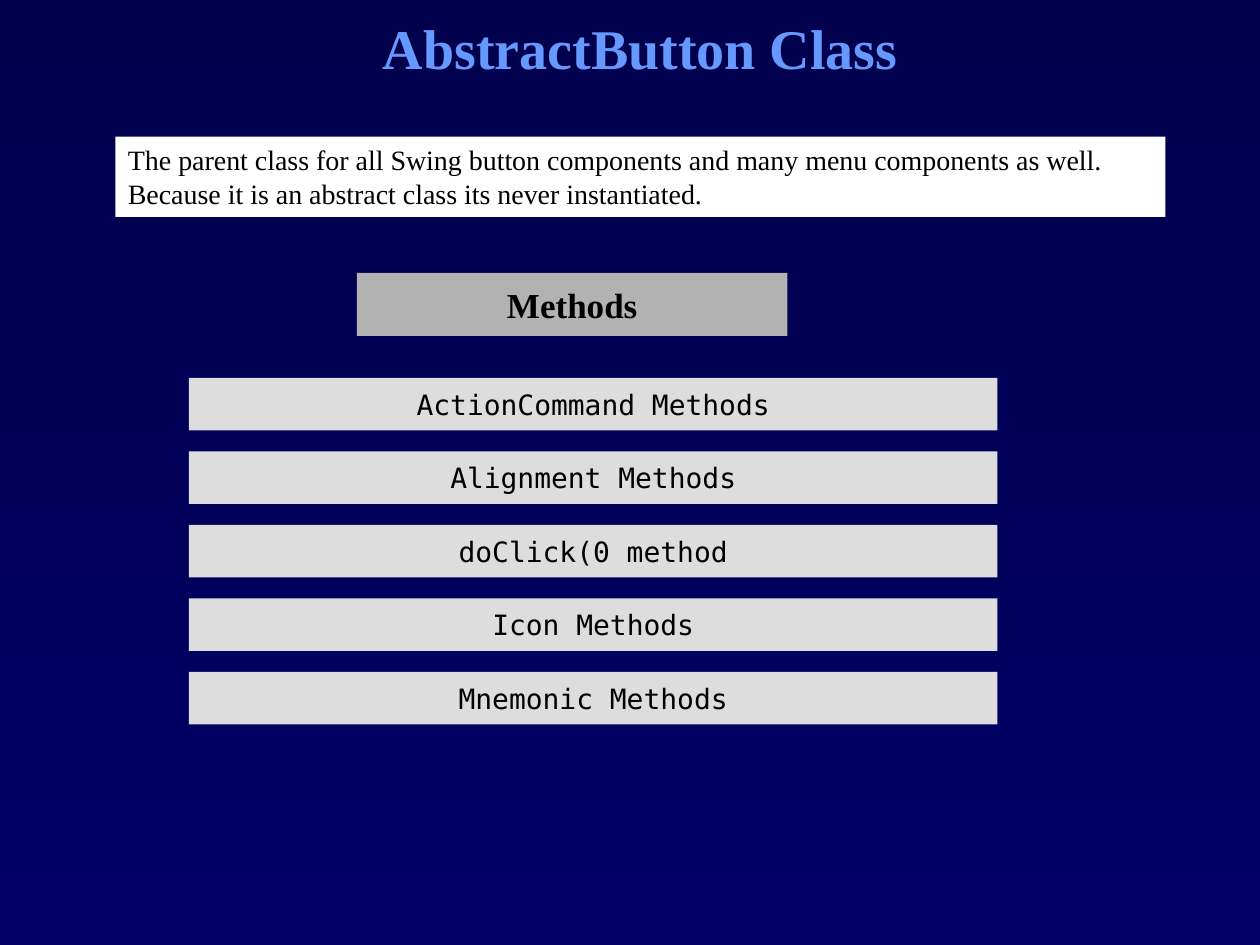
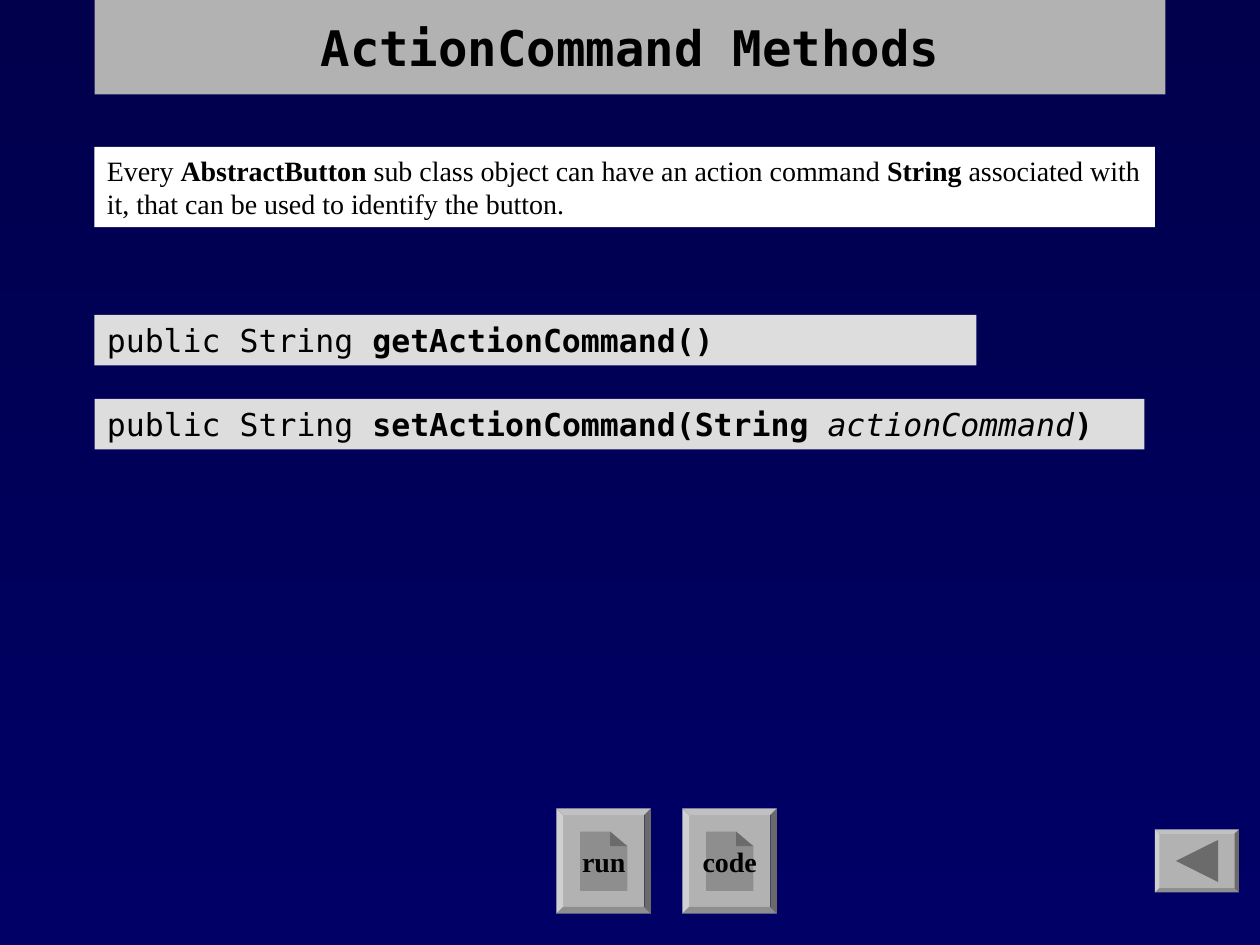
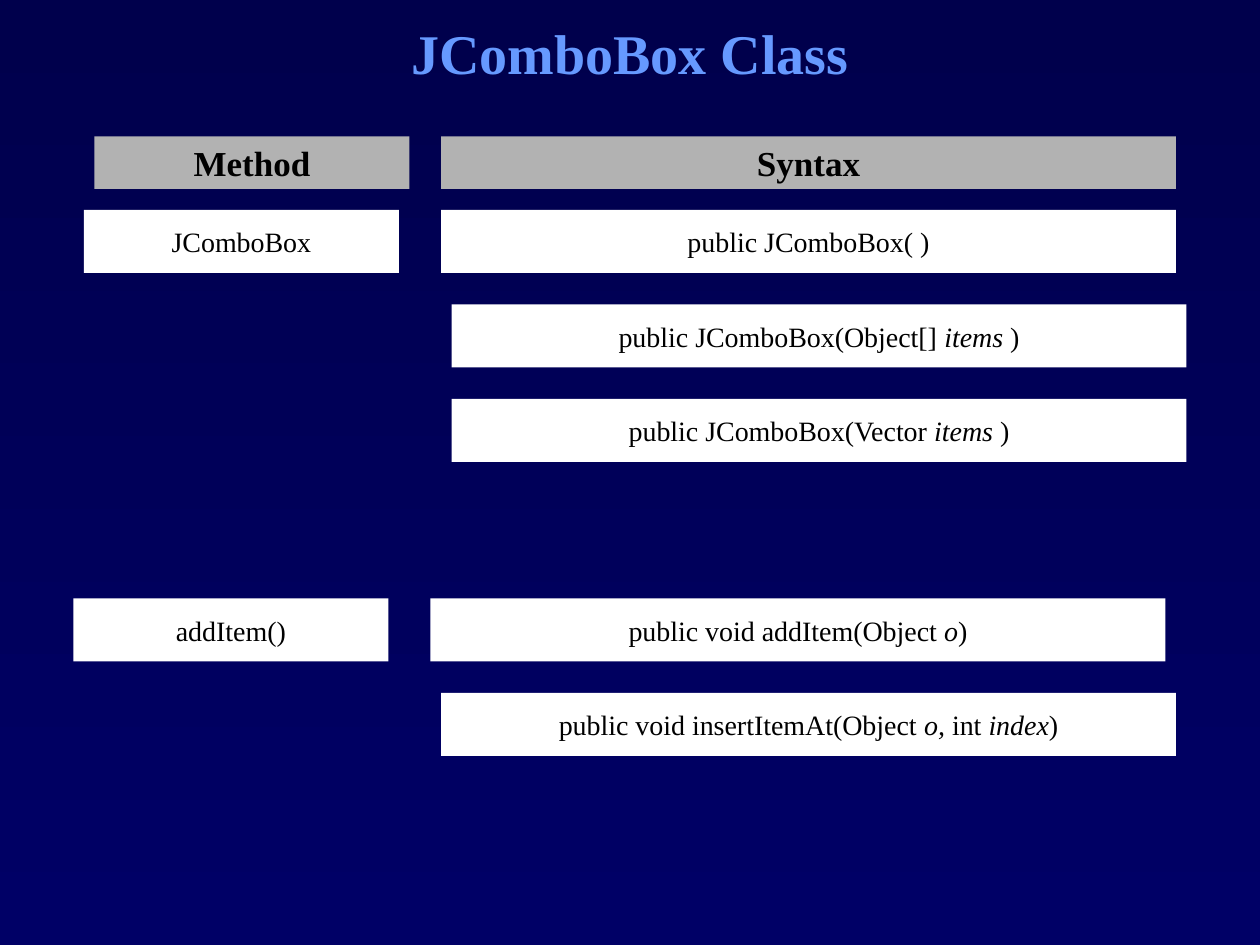
import collections

import pptx
import pptx.dml.color
import pptx.enum.shapes
import pptx.enum.text
import pptx.util

Box = collections.namedtuple("Box", "column row columns rows")

CELL = pptx.util.Inches(1) // 12
COLUMNS, ROWS = 120, 90
SERIF, MONO = "Times New Roman", "DejaVu Sans Mono"
COLOURS = {
    "sky": "00004C", "ground": "000066", "heading": "6699FF", "ink": "000000",
    "paper": "FFFFFF", "band": "B2B2B2", "code": "DDDDDD",
    "icon": "8E8E8E", "shade": "6B6B6B",
}
LOOKS = {
    "title": {"name": SERIF, "size": 32, "bold": True, "colour": "heading"},
    "code title": {"name": MONO, "size": 28, "bold": True, "colour": "ink"},
    "header": {"name": SERIF, "size": 20, "bold": True, "colour": "ink"},
    "prose": {"name": SERIF, "size": 16, "colour": "ink"},
    "button": {"name": SERIF, "size": 16, "bold": True, "colour": "ink"},
    "method": {"name": MONO, "size": 16, "colour": "ink"},
    "signature": {"name": MONO, "size": 18, "colour": "ink"},
}
BOLD, ITALIC = {"bold": True}, {"italic": True}


def rgb(name):
    """Return the named colour."""
    return pptx.dml.color.RGBColor.from_string(COLOURS[name])


def inside(box, column, row, columns, rows):
    """Return a box placed relative to another box."""
    return Box(box.column + column, box.row + row, columns, rows)


def emu(cells):
    """Convert grid cells to whole length units."""
    return round(cells * CELL)


def paint(shape, colour):
    """Give a shape a plain fill without line or shadow."""
    shape.shadow.inherit = False
    shape.fill.solid()
    shape.fill.fore_color.rgb = rgb(colour)
    shape.line.fill.background()


def write(shape, spans, look, centred=True, wrap=True):
    """Write one paragraph of plain or (text, format) spans."""
    anchor = pptx.enum.text.MSO_ANCHOR
    align = pptx.enum.text.PP_ALIGN
    frame = shape.text_frame
    settings = {
        "word_wrap": wrap,
        "auto_size": pptx.enum.text.MSO_AUTO_SIZE.NONE,
        "vertical_anchor": anchor.MIDDLE if centred else anchor.TOP,
    }
    for key, value in settings.items():
        setattr(frame, key, value)
    para = frame.paragraphs[0]
    para.alignment = align.CENTER if centred else align.LEFT
    for text, extra in ((s, {}) if isinstance(s, str) else s for s in spans):
        span = para.add_run()
        span.text = text
        values = {**LOOKS[look], **extra}
        span.font.color.rgb = rgb(values.pop("colour"))
        values["size"] = pptx.util.Pt(values["size"])
        for key, value in values.items():
            setattr(span.font, key, value)


def add_preset(page, kind, box, colour):
    """Add a painted preset shape filling a box."""
    shape = page.shapes.add_shape(kind, *map(emu, box))
    paint(shape, colour)
    return shape


def add_panel(page, box, colour, spans, look, centred=True):
    """Add a filled rectangle with text."""
    kind = pptx.enum.shapes.MSO_SHAPE.RECTANGLE
    write(add_preset(page, kind, box, colour), spans, look, centred)


def add_outline(page, box, points, colour):
    """Add a closed polygon with points relative to a box."""
    corners = [(emu(box.column + x), emu(box.row + y)) for x, y in points]
    builder = page.shapes.build_freeform(*corners[0])
    builder.add_line_segments(corners[1:], close=True)
    shape = builder.convert_to_shape()
    paint(shape, colour)
    return shape


def add_bevel(page, box):
    """Add the raised face of a button."""
    face = add_preset(page, pptx.enum.shapes.MSO_SHAPE.BEVEL, box, "band")
    face.adjustments[0] = 0.07


def add_document_button(page, box, label):
    """Add a raised button with a labelled document icon."""
    add_bevel(page, box)
    left, fold, right, top, crease, bottom = 2.25, 5.1, 6.75, 2.2, 3.6, 7.85
    sheet = add_outline(page, box, [
        (left, top), (fold, top), (right, crease), (right, bottom), (left, bottom),
    ], "icon")
    add_outline(page, box, [(fold, top), (right, crease), (fold, crease)], "shade")
    write(sheet, [label], "button", wrap=False)


def add_back_button(page, box):
    """Add a raised button with an arrow pointing left."""
    add_bevel(page, box)
    add_outline(page, box, [(2, 3), (6, 1), (6, 5)], "shade")


def start_page(deck, title, box, look="title", band=None):
    """Add a slide and set its title in a box."""
    page = deck.slides.add_slide(deck.slide_layouts[5])
    heading = page.shapes.title
    for key, value in zip(("left", "top", "width", "height"), map(emu, box)):
        setattr(heading, key, value)
    if band:
        heading.fill.solid()
        heading.fill.fore_color.rgb = rgb(band)
    write(heading, [title], look)
    return page


def add_method_list(page, box, names):
    """Stack method names at an equal pitch from the top of a box."""
    pitch = box.rows / len(names)
    for index, name in enumerate(names):
        bar = inside(box, 0, index * pitch, box.columns, 5)
        add_panel(page, bar, "code", [name], "method")


def add_syntax_grid(page, box, entries):
    """Place headers and method rows, each with its own sideways shift."""
    method, syntax = (0, 30), (33, 70)
    for (start, width), label in ((method, "Method"), (syntax, "Syntax")):
        add_panel(page, inside(box, start, 0, width, 5), "band", [label], "header")
    for row, name, name_shift, spans, shift in entries:
        cells = [(syntax, spans, shift)]
        if name:
            cells.insert(0, (method, [name], name_shift))
        for (start, width), words, offset in cells:
            cell = inside(box, start + offset, row, width, 6)
            add_panel(page, cell, "paper", words, "prose")


def build_class_slide(deck):
    """Build the slide on the abstract button class."""
    page = start_page(deck, "AbstractButton Class", Box(10, 0, 102, 9))
    add_panel(page, Box(11, 13, 100, 7.65), "paper", [
        "The parent class for all Swing button components and many menu components "
        "as well. Because it is an abstract class its never instantiated.",
    ], "prose", centred=False)
    add_panel(page, Box(34, 26, 41, 6), "band", ["Methods"], "header")
    add_method_list(page, Box(18, 36, 77, 35), [
        "ActionCommand Methods", "Alignment Methods", "doClick(0 method",
        "Icon Methods", "Mnemonic Methods",
    ])


def build_command_slide(deck):
    """Build the slide on action commands."""
    page = start_page(deck, "ActionCommand Methods", Box(9, 0, 102, 9),
                      "code title", "band")
    add_panel(page, Box(9, 14, 101, 7.65), "paper", [
        "Every ", ("AbstractButton ", BOLD),
        "sub class object can have an action command ", ("String", BOLD),
        " associated with it, that can be used to identify the button.",
    ], "prose", centred=False)
    signatures = [
        (30, 84, [("getActionCommand()", BOLD)]),
        (38, 100, [("setActionCommand(String ", BOLD),
                   ("actionCommand", ITALIC), (")", BOLD)]),
    ]
    for row, width, spans in signatures:
        add_panel(page, Box(9, row, width, 4.8), "code",
                  ["public String ", *spans], "signature", centred=False)
    for index, label in enumerate(("run", "code")):
        add_document_button(page, Box(53 + 12 * index, 77, 9, 10), label)
    add_back_button(page, Box(110, 79, 8, 6))


def build_combo_slide(deck):
    """Build the slide on combo box syntax."""
    page = start_page(deck, "JComboBox Class", Box(9, 0, 102, 10))
    items = ("items", ITALIC)
    add_syntax_grid(page, Box(9, 13, 103, 59), [
        (7, "JComboBox", -1, ["public JComboBox( )"], 0),
        (16, None, 0, ["public JComboBox(Object[] ", items, " )"], 1),
        (25, None, 0, ["public JComboBox(Vector ", items, " )"], 1),
        (44, "addItem()", -2,
         ["public void addItem(Object ", ("o", ITALIC), ")"], -1),
        (53, None, 0, ["public void insertItemAt(Object ", ("o, ", ITALIC),
                       "int ", ("index", ITALIC), ")"], 0),
    ])


def main():
    """Build and save the deck."""
    deck = pptx.Presentation()
    deck.slide_width, deck.slide_height = emu(COLUMNS), emu(ROWS)
    fill = deck.slide_master.background.fill
    fill.gradient()
    fill.gradient_angle = 270
    for stop, colour in zip(fill.gradient_stops, ("sky", "ground")):
        stop.color.rgb = rgb(colour)
    build_class_slide(deck)
    build_command_slide(deck)
    build_combo_slide(deck)
    deck.save("out.pptx")


if __name__ == "__main__":
    main()
